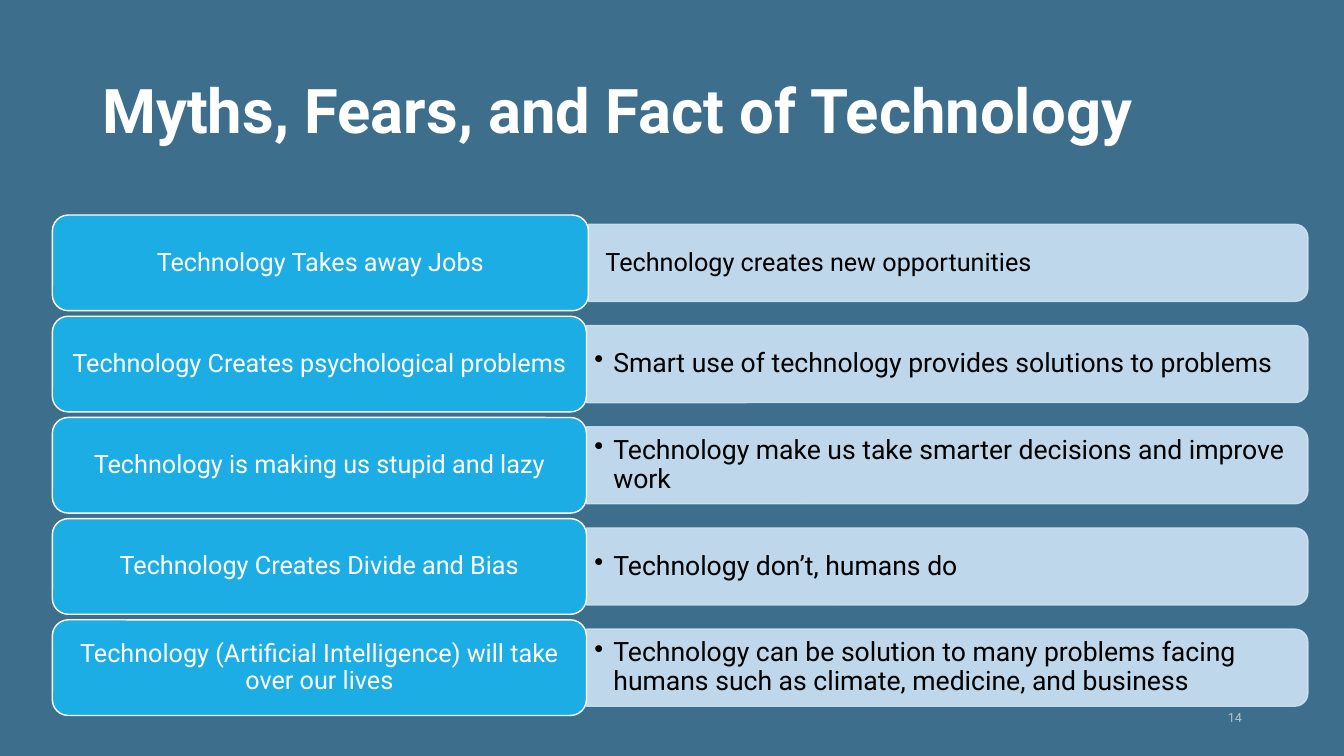
"""Build the slide that sets fears about technology against the facts."""
from lxml import etree
from pptx import Presentation
from pptx.dml.color import RGBColor
from pptx.enum.shapes import MSO_SHAPE
from pptx.enum.text import MSO_ANCHOR, MSO_AUTO_SIZE, PP_ALIGN
from pptx.oxml.ns import qn
from pptx.util import Cm, Pt

ROUNDED = MSO_SHAPE.ROUNDED_RECTANGLE
TOP_ROUNDED = MSO_SHAPE.ROUND_2_SAME_RECTANGLE
MIDDLE = MSO_ANCHOR.MIDDLE
NO_AUTOFIT = MSO_AUTO_SIZE.NONE
LEFT, CENTER, RIGHT = PP_ALIGN.LEFT, PP_ALIGN.CENTER, PP_ALIGN.RIGHT

FONT = "Roboto"
COLORS = {"back": "3D6E8C", "myth": "1CADE4", "fact": "CDE3F5",
          "light": "FFFFFF", "dark": "000000"}
ROWS = [
    ("Technology Takes away Jobs", "Technology creates new opportunities"),
    ("Technology Creates psychological problems",
     "Smart use of technology provides solutions to problems"),
    ("Technology is making us stupid and lazy",
     "Technology make us take smarter decisions and improve work"),
    ("Technology Creates Divide and Bias", "Technology don’t, humans do"),
    ("Technology (Artificial Intelligence) will take over our lives",
     "Technology can be solution to many problems facing humans "
     "such as climate, medicine, and business"),
]
TABLE_LEFT, TABLE_RIGHT, TABLE_TOP = 1.32, 32.96, 5.42
ROW_PITCH, MYTH_HEIGHT = 2.55, 2.41
BAR_HEIGHT, FACT_HEIGHT = 1.94, 1.75


def rgb(name):
    """Return the named colour."""
    return RGBColor.from_string(COLORS[name])


def set_alpha(fill, percent):
    """Make a solid fill partly transparent."""
    fill.fore_color
    color = fill._xPr.find(qn("a:solidFill"))[0]
    etree.SubElement(color, qn("a:alpha")).set("val", str(percent * 1000))


def write(shape, text, size, color, align=LEFT, spacing=0.9, inset=(0.25, 0.13),
          bold=False):
    """Put one formatted run into a shape and return its paragraph and run."""
    tf = shape.text_frame
    tf.word_wrap = True
    tf.auto_size = NO_AUTOFIT
    tf.vertical_anchor = MIDDLE
    tf.margin_left = tf.margin_right = Cm(inset[0])
    tf.margin_top = tf.margin_bottom = Cm(inset[1])
    p = tf.paragraphs[0]
    p.alignment = align
    p.line_spacing = spacing
    r = p.add_run()
    r.text = text
    r.font.name = FONT
    r.font.size = Pt(size)
    r.font.bold = bold
    r.font.color.rgb = rgb(color)
    return p, r


def add_box(s, kind, left, top, width, height, fill, line):
    """Add a filled and outlined shape without a shadow."""
    sp = s.shapes.add_shape(kind, Cm(left), Cm(top), Cm(width), Cm(height))
    sp.shadow.inherit = False
    sp.fill.solid()
    sp.fill.fore_color.rgb = rgb(fill)
    sp.line.color.rgb = rgb(line)
    sp.line.width = Pt(1)
    return sp


def add_bar(s, left, middle):
    """Add a fact bar, turned so that its right corners are rounded."""
    length = TABLE_RIGHT - left
    sp = add_box(s, TOP_ROUNDED, left + (length - BAR_HEIGHT) / 2,
                 middle - length / 2, BAR_HEIGHT, length, "fact", "fact")
    sp.rotation = 90
    set_alpha(sp.fill, 90)
    set_alpha(sp.line.fill, 90)


def add_fact(s, text, left, middle, bulleted):
    """Add the text of a fact with a hanging indent."""
    sp = s.shapes.add_textbox(Cm(left), Cm(middle - FACT_HEIGHT / 2),
                              Cm(TABLE_RIGHT - left - 0.09), Cm(FACT_HEIGHT))
    size, inset = (19, (0.2, 0.1)) if bulleted else (18, (0.43, 0.23))
    p, _ = write(sp, text, size, "dark", inset=inset)
    pPr = p._p.get_or_add_pPr()
    pPr.set("marL", str(Cm(0.48)))
    pPr.set("indent", str(Cm(-0.48)))
    if bulleted:
        etree.SubElement(pPr, qn("a:buChar")).set("char", "•")
    else:
        etree.SubElement(pPr, qn("a:buNone"))


def add_row(s, index, myth, fact):
    """Add one myth with the fact that answers it."""
    top = TABLE_TOP + index * ROW_PITCH
    middle = top + MYTH_HEIGHT / 2
    myth_width = 13.46 if index else 13.51
    fact_left = TABLE_LEFT + myth_width
    add_bar(s, fact_left, middle)
    add_fact(s, fact, fact_left, middle, index > 0)
    sp = add_box(s, ROUNDED, TABLE_LEFT, top, myth_width, MYTH_HEIGHT,
                 "myth", "light")
    write(sp, myth, 18, "light", CENTER, inset=(0.3, 0.22))


def add_title(s, text):
    """Place and fill the title placeholder."""
    title = s.shapes.title
    title.left, title.top = Cm(2.33), Cm(1.02)
    title.width, title.height = Cm(29.21), Cm(3.68)
    write(title, text, 44, "light", bold=True)


def add_slide_number(s, text):
    """Add the faint slide number."""
    sp = s.shapes.add_textbox(Cm(23.93), Cm(17.58), Cm(7.62), Cm(1.02))
    _, r = write(sp, text, 9, "light", RIGHT, spacing=1.0)
    set_alpha(r.font.fill, 60)


def main():
    """Build and save the slide."""
    prs = Presentation()
    prs.slide_width, prs.slide_height = Cm(33.87), Cm(19.05)
    s = prs.slides.add_slide(prs.slide_layouts[5])
    s.background.fill.solid()
    s.background.fill.fore_color.rgb = rgb("back")
    add_title(s, "Myths, Fears, and Fact of Technology")
    for index, (myth, fact) in enumerate(ROWS):
        add_row(s, index, myth, fact)
    add_slide_number(s, "14")
    prs.save("out.pptx")


if __name__ == "__main__":
    main()
